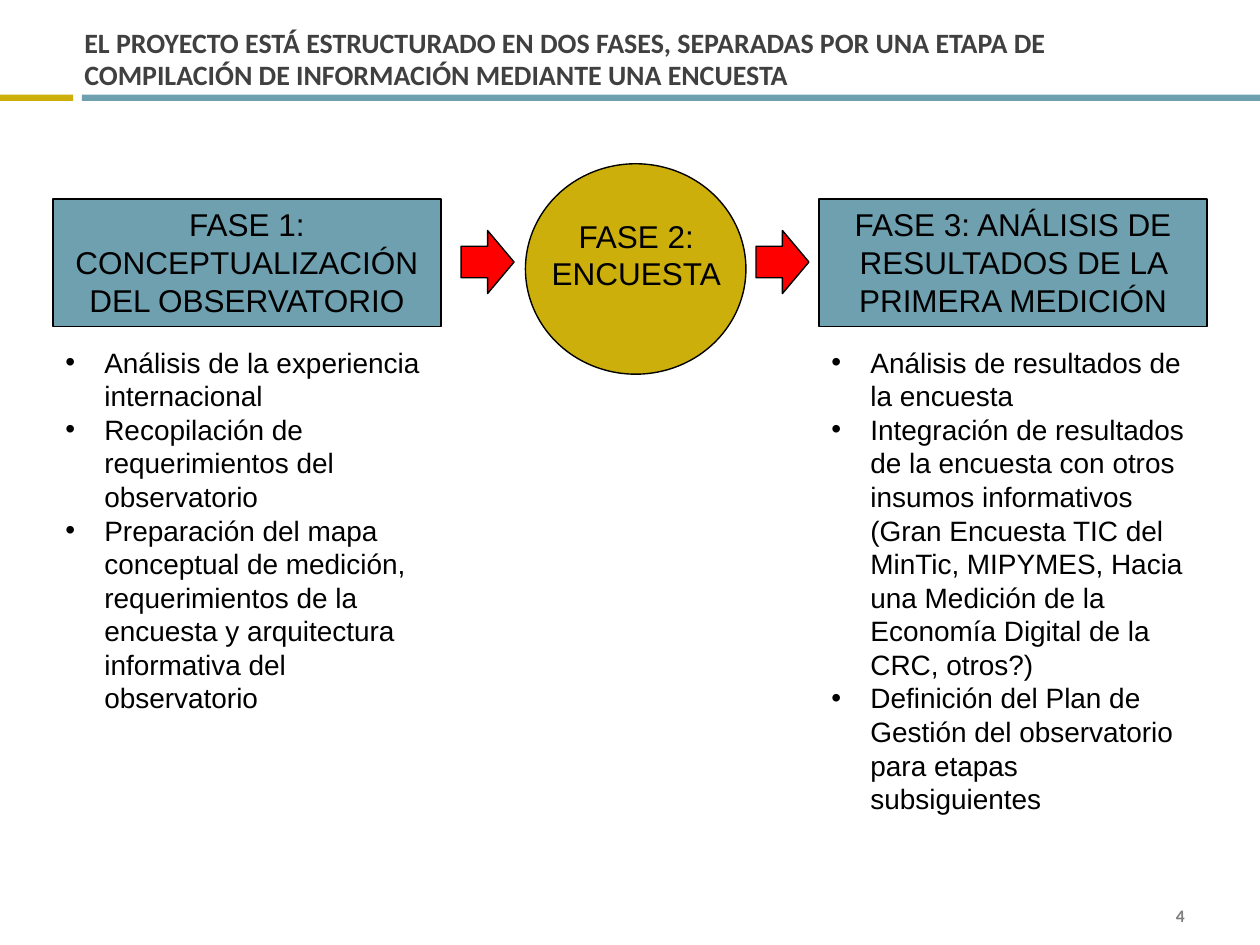
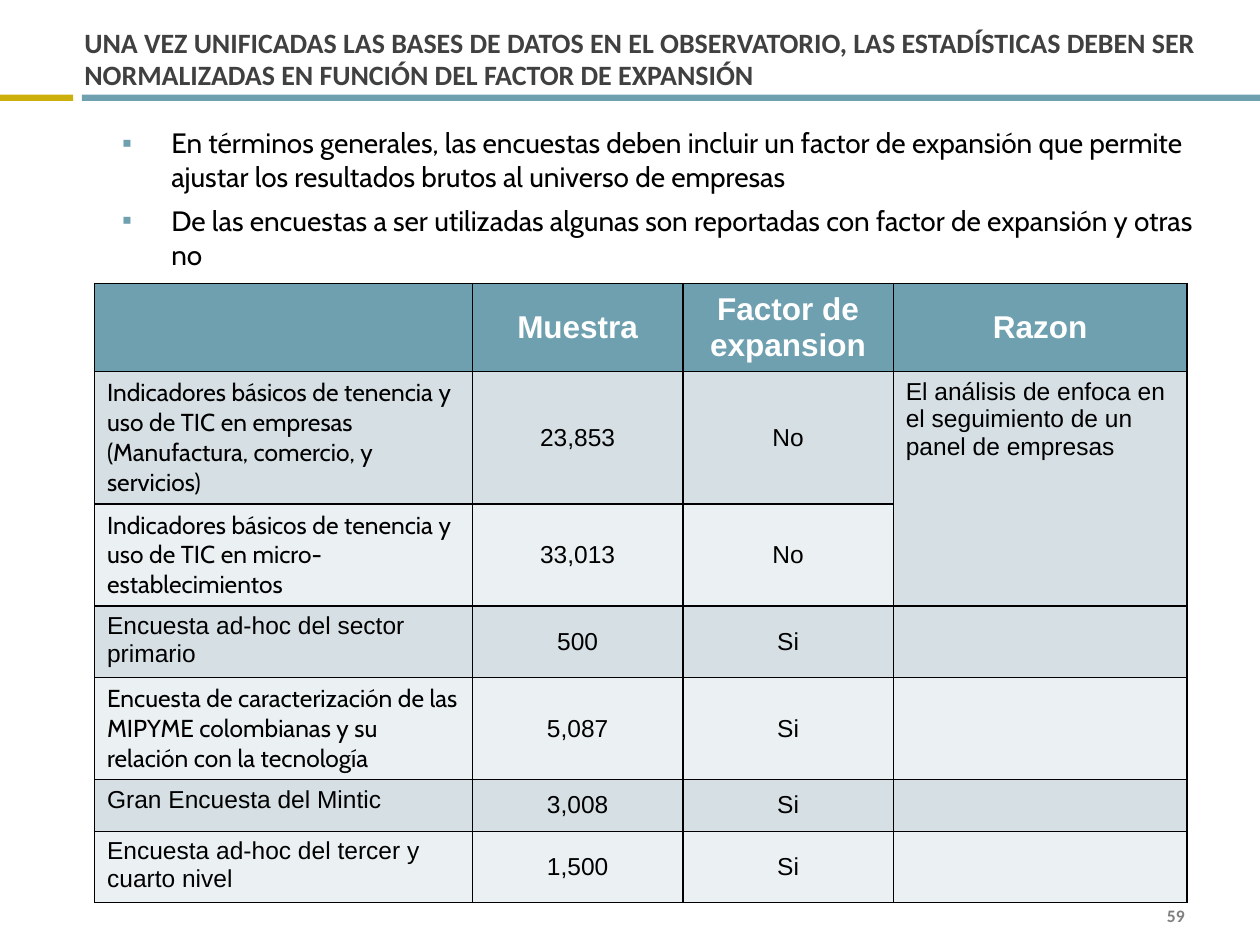
from lxml.etree import SubElement
from pptx import Presentation
from pptx.dml.color import RGBColor
from pptx.enum.shapes import MSO_SHAPE
from pptx.enum.text import MSO_ANCHOR, PP_ALIGN
from pptx.oxml.ns import qn
from pptx.util import Inches, Pt

COLORS = {
    "teal": "6EA0B0", "gold": "CCAF0A", "red": "FF0000", "black": "000000",
    "white": "FFFFFF", "title": "404040", "number": "7F7F7F",
    "row_dark": "D5DFE4", "row_light": "EBF0F2",
}

PHASES_TITLE = ("EL PROYECTO ESTÁ ESTRUCTURADO EN DOS FASES, SEPARADAS POR UNA ETAPA DE "
                "COMPILACIÓN DE INFORMACIÓN MEDIANTE UNA ENCUESTA")
# left edge, heading, height of the list, tasks
PHASES = [
    (0.42, "FASE 1: CONCEPTUALIZACIÓN DEL OBSERVATORIO", 3.06, [
        "Análisis de la experiencia internacional",
        "Recopilación de requerimientos del observatorio",
        "Preparación del mapa conceptual de medición, requerimientos de la encuesta "
        "y arquitectura informativa del observatorio",
    ]),
    (6.5, "FASE 3: ANÁLISIS DE RESULTADOS DE LA PRIMERA MEDICIÓN", 3.87, [
        "Análisis de resultados de la encuesta",
        "Integración de resultados de la encuesta con otros insumos informativos "
        "(Gran Encuesta TIC del MinTic, MIPYMES, Hacia una Medición de la Economía "
        "Digital de la CRC, otros?)",
        "Definición del Plan de Gestión del observatorio para etapas subsiguientes",
    ]),
]
SURVEY_PHASE = ["FASE 2:", "ENCUESTA"]
ARROW_LEFTS = [3.66, 6]

SURVEYS_TITLE = ("UNA VEZ UNIFICADAS LAS BASES DE DATOS EN EL OBSERVATORIO, LAS ESTADÍSTICAS "
                 "DEBEN SER NORMALIZADAS EN FUNCIÓN DEL FACTOR DE EXPANSIÓN")
SURVEY_NOTES = [
    "En términos generales, las encuestas deben incluir un factor de expansión que permite "
    "ajustar los resultados brutos al universo de empresas",
    "De las encuestas a ser utilizadas algunas son reportadas con factor de expansión y otras no",
]
HEADER = ["", "Muestra", "Factor de expansion", "Razon"]
# font of the survey name, then the four cells
SURVEYS = [
    ("Cabin", ["Indicadores básicos de tenencia y uso de TIC en empresas "
               "(Manufactura, comercio, y servicios)", "23,853", "No",
               "El análisis de enfoca en el seguimiento de un panel de empresas"]),
    ("Cabin", ["Indicadores básicos de tenencia y uso de TIC en micro-establecimientos",
               "33,013", "No", ""]),
    ("Arial", ["Encuesta ad-hoc del sector primario", "500", "Si", ""]),
    ("Cabin", ["Encuesta de caracterización de las MIPYME colombianas y su relación "
               "con la tecnología", "5,087", "Si", ""]),
    ("Arial", ["Gran Encuesta del Mintic", "3,008", "Si", ""]),
    ("Arial", ["Encuesta ad-hoc del tercer y cuarto nivel", "1,500", "Si", ""]),
]
COL_WIDTHS = [3, 1.67, 1.67, 2.33]
ROW_HEIGHTS = [0.66, 1.05, 0.81, 0.54, 0.81, 0.41, 0.54]


def rgb(name):
    return RGBColor.from_string(COLORS[name])


def write(tf, paragraphs, size, font="Arial", color="black", bold=False, align=PP_ALIGN.LEFT):
    """Fill a text frame with one run per paragraph."""
    for i, text in enumerate(paragraphs):
        p = tf.paragraphs[0] if i == 0 else tf.add_paragraph()
        p.alignment = align
        r = p.add_run()
        r.text = text
        r.font.size, r.font.name, r.font.bold = Pt(size), font, bold
        r.font.color.rgb = rgb(color)


def add_text(slide, box, paragraphs, size, anchor=MSO_ANCHOR.TOP, insets=None, wrap=True, **style):
    tf = slide.shapes.add_textbox(*map(Inches, box)).text_frame
    tf.word_wrap = wrap
    tf.vertical_anchor = anchor
    if insets:
        (tf.margin_left, tf.margin_top,
         tf.margin_right, tf.margin_bottom) = map(Inches, insets)
    write(tf, paragraphs, size, **style)
    return tf


def add_block(slide, kind, box, fill, line_width=None):
    sp = slide.shapes.add_shape(kind, *map(Inches, box))
    sp.shadow.inherit = False
    sp.fill.solid()
    sp.fill.fore_color.rgb = rgb(fill)
    if line_width:
        sp.line.color.rgb = rgb("black")
        sp.line.width = Pt(line_width)
    else:
        sp.line.fill.background()
    return sp


def add_bullets(tf, char, margin, hanging, color=None):
    for p in tf.paragraphs:
        pPr = p._p.get_or_add_pPr()
        pPr.set("marL", str(Inches(margin)))
        pPr.set("indent", str(-Inches(hanging)))
        if color:
            bu_color = SubElement(pPr, qn("a:buClr"))
            SubElement(bu_color, qn("a:srgbClr"), val=COLORS[color])
        SubElement(pPr, qn("a:buFont"), typeface="Arial")
        SubElement(pPr, qn("a:buChar"), char=char)


def add_borders(cell):
    tcPr = cell._tc.get_or_add_tcPr()
    for side in ("lnL", "lnR", "lnT", "lnB"):
        ln = SubElement(tcPr, qn(f"a:{side}"), w=str(Pt(1)))
        fill = SubElement(ln, qn("a:solidFill"))
        SubElement(fill, qn("a:srgbClr"), val=COLORS["black"])


def add_base_slide(prs, title, number):
    """Add a slide with the shared title, bands and page number."""
    slide = prs.slides.add_slide(prs.slide_layouts[6])
    add_text(slide, (7.17, 7.17, 2.33, 0.2), [number], 10, anchor=MSO_ANCHOR.MIDDLE,
             font="Calibri", color="number", bold=True, align=PP_ALIGN.RIGHT)
    add_block(slide, MSO_SHAPE.RECTANGLE, (0, 0.75, 0.58, 0.05), "gold")
    add_block(slide, MSO_SHAPE.RECTANGLE, (0.65, 0.75, 9.35, 0.05), "teal")
    tf = add_text(slide, (0.67, 0.08, 9, 0.67), [title], 16, anchor=MSO_ANCHOR.BOTTOM,
                  insets=(0, 0.05, 0, 0.03), font="Calibri", color="title", bold=True)
    tf.paragraphs[0].line_spacing = Pt(18)
    return slide


def build_phases(prs):
    slide = add_base_slide(prs, PHASES_TITLE, "4")
    for left, heading, list_height, tasks in PHASES:
        sp = add_block(slide, MSO_SHAPE.RECTANGLE, (left, 1.58, 3.08, 1.01), "teal", 0.75)
        sp.text_frame.word_wrap = True
        sp.text_frame.vertical_anchor = MSO_ANCHOR.TOP
        write(sp.text_frame, [heading], 18, align=PP_ALIGN.CENTER)
        tf = add_text(slide, (left, 2.69, 3.08, list_height), tasks, 16)
        add_bullets(tf, "•", 0.31, 0.31)
    add_block(slide, MSO_SHAPE.OVAL, (4.17, 1.3, 1.75, 1.67), "gold", 0.79)
    add_text(slide, (4.27, 1.67, 1.56, 0.71), SURVEY_PHASE, 18, wrap=False,
             align=PP_ALIGN.CENTER)
    for left in ARROW_LEFTS:
        add_block(slide, MSO_SHAPE.RIGHT_ARROW, (left, 1.83, 0.42, 0.5), "red", 0.79)


def build_surveys(prs):
    slide = add_base_slide(prs, SURVEYS_TITLE, "59")
    tf = add_text(slide, (0.67, 1, 9, 5.7), SURVEY_NOTES, 16, insets=(0, 0, 0, 0), font="Cabin")
    for p in tf.paragraphs:
        p.space_before = Pt(6)
    add_bullets(tf, "▪", 0.69, 0.39, "teal")

    box = (0.75, 2.25, sum(COL_WIDTHS), sum(ROW_HEIGHTS))
    table = slide.shapes.add_table(len(ROW_HEIGHTS), len(COL_WIDTHS), *map(Inches, box)).table
    table.first_row = table.horz_banding = False
    for column, width in zip(table.columns, COL_WIDTHS):
        column.width = Inches(width)
    for row, height in zip(table.rows, ROW_HEIGHTS):
        row.height = Inches(height)

    for i, (name_font, texts) in enumerate([("Arial", HEADER)] + SURVEYS):
        is_header = i == 0
        fill = "teal" if is_header else ("row_light", "row_dark")[i % 2]
        for j, text in enumerate(texts):
            cell = table.cell(i, j)
            add_borders(cell)
            cell.fill.solid()
            cell.fill.fore_color.rgb = rgb(fill)
            centered = is_header or j in (1, 2)
            if centered:
                cell.vertical_anchor = MSO_ANCHOR.MIDDLE
            if text:
                write(cell.text_frame, [text], 18 if is_header else 14,
                      font=name_font if j == 0 else "Arial",
                      color="white" if is_header else "black", bold=is_header,
                      align=PP_ALIGN.CENTER if centered else PP_ALIGN.LEFT)
    table.cell(1, 3).merge(table.cell(2, 3))


def main():
    prs = Presentation()
    prs.slide_width, prs.slide_height = Inches(10), Inches(7.5)
    build_phases(prs)
    build_surveys(prs)
    prs.save("out.pptx")


if __name__ == "__main__":
    main()
